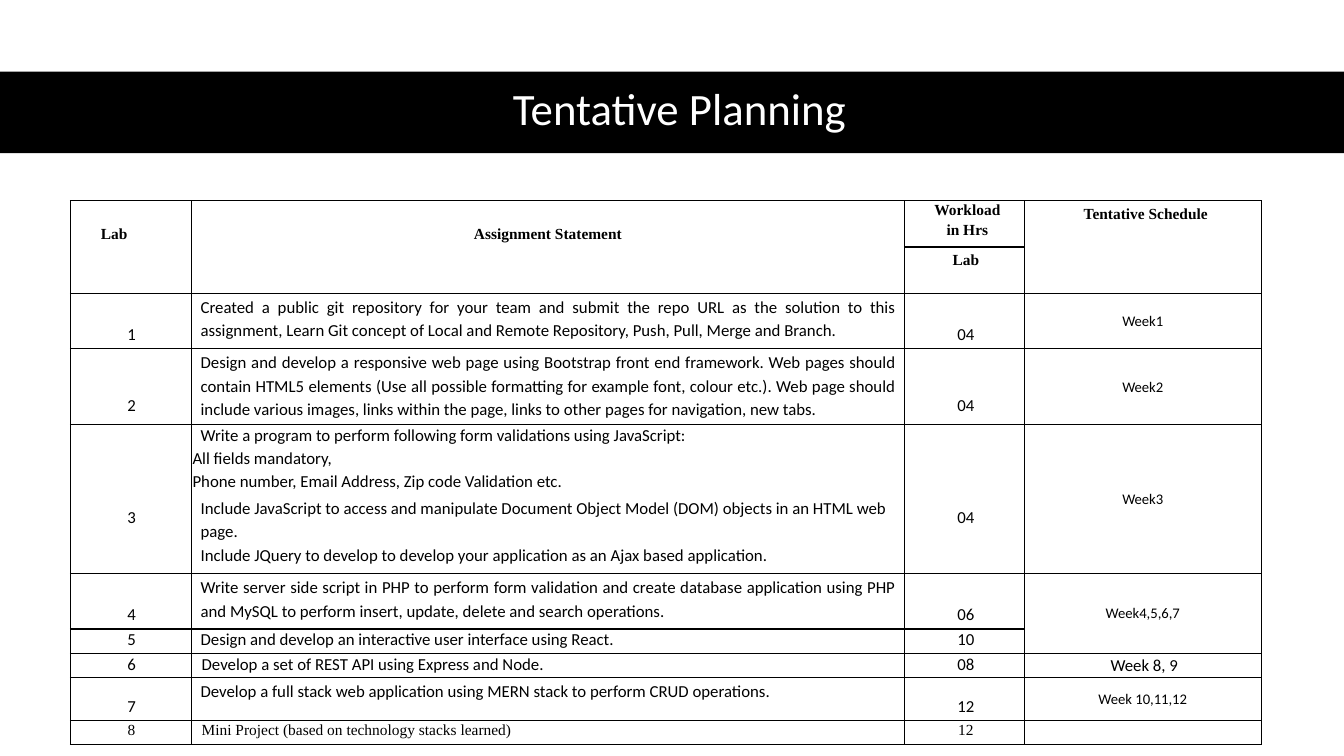
"""Build the tentative planning slide with its lab schedule table."""
from dataclasses import dataclass, field, replace

import pptx
import pptx.dml.color
import pptx.enum.shapes
import pptx.enum.text
import pptx.oxml
import pptx.oxml.ns
import pptx.slide
import pptx.table
import pptx.text.text
import pptx.util

Inches = pptx.util.Inches
Pt = pptx.util.Pt
Align = pptx.enum.text.PP_ALIGN
Anchor = pptx.enum.text.MSO_ANCHOR


@dataclass(frozen=True)
class Theme:
    """Colours, fonts and type sizes of the slide."""

    ink: str = "000000"
    paper: str = "FFFFFF"
    sans: str = "Calibri"
    serif: str = "Times New Roman"
    title: float = 32
    body: float = 12
    header: float = 11
    week: float = 10.5
    border: float = 1


THEME = Theme()


@dataclass(frozen=True)
class Line:
    """One paragraph of a table cell."""

    text: str
    align: Align = Align.LEFT
    indent: float = 0
    hanging: float = 0
    spacing: float = 1
    before: float = 0
    size: float = THEME.body
    font: str = THEME.sans
    bold: bool = False


@dataclass(frozen=True)
class Assignment:
    """One lab row: statement, hours, schedule and drop of its numbers."""

    hours: str
    height: float
    statement: tuple[Line, ...]
    week: Line | None = None
    drop: float = 0.01
    week_rows: int = 1
    number: Line = field(default_factory=lambda: Line("", Align.CENTER))


def statement(text: str, align: Align = Align.LEFT, spacing: float = 1.15, before: float = 0) -> Line:
    """Return a line of an assignment statement."""
    return Line(text, align, 0.08, spacing=spacing, before=before)


def field_rule(text: str) -> Line:
    """Return a hanging line naming a validation rule."""
    return Line(text, indent=0.38, hanging=0.38, before=2)


def week(text: str) -> Line:
    """Return a schedule line."""
    return Line(text, Align.CENTER, size=THEME.week)


def heading(text: str, align: Align = Align.CENTER, indent: float = 0, spacing: float = 1, before: float = 0) -> Line:
    """Return a bold column heading."""
    return Line(text, align, indent, 0, spacing, before, THEME.header, THEME.serif, True)


COLUMNS = (1.2, 7.07, 1.19, 2.35)
HEADER_HEIGHTS = (0.46, 0.46)
ASSIGNMENTS = (
    Assignment("04", 0.55, (statement(
        "Created a public git repository for your team and submit the repo URL as the solution to this "
        "assignment, Learn Git concept of Local and Remote Repository, Push, Pull, Merge and Branch.",
        Align.JUSTIFY),), week("Week1"), 0.31),
    Assignment("04", 0.75, (statement(
        "Design and develop a responsive web page using Bootstrap front end framework. Web pages should "
        "contain HTML5 elements (Use all possible formatting for example font, colour etc.). Web page should "
        "include various images, links within the page, links to other pages for navigation, new tabs.",
        Align.JUSTIFY),), week("Week2"), 0.46),
    Assignment("04", 1.48, (
        statement("Write a program to perform following form validations using JavaScript:", spacing=1),
        field_rule("All fields mandatory,"),
        field_rule("Phone number, Email Address, Zip code Validation etc."),
        statement("Include JavaScript to access and manipulate Document Object Model (DOM) objects "
                  "in an HTML web page.", before=2),
        statement("Include JQuery to develop to develop your application as an Ajax based application."),
    ), week("Week3"), 0.83),
    Assignment("06", 0.55, (statement(
        "Write server side script in PHP to perform form validation and create database application using PHP "
        "and MySQL to perform insert, update, delete and search operations.",
        Align.JUSTIFY),), week("Week4,5,6,7"), 0.31, 2),
    Assignment("10", 0.24, (statement(
        "Design and develop an interactive user interface using React.", spacing=1),)),
    Assignment("08", 0.24, (Line("Develop a set of REST API using Express and Node.", indent=0.09),),
               Line("Week 8, 9", Align.CENTER, 0.03)),
    Assignment("12", 0.43, (statement(
        "Develop a full stack web application using MERN stack to perform CRUD operations."),),
        week("Week 10,11,12"), 0.19),
    Assignment("12", 0.24, (Line("Mini Project (based on technology stacks learned)", indent=0.09,
                                 size=THEME.header, font=THEME.serif),),
               number=Line("", Align.CENTER, size=THEME.header, font=THEME.serif)),
)


def style_font(font: pptx.text.text.Font, name: str, size: float, colour: str, bold: bool = False) -> None:
    """Apply typeface, size, weight and colour."""
    font.name, font.size, font.bold = name, Pt(size), bold
    font.color.rgb = pptx.dml.color.RGBColor.from_string(colour)


def write_line(paragraph: pptx.text.text._Paragraph, line: Line) -> None:
    """Fill a paragraph from its description."""
    if line.text:
        paragraph.text = line.text
    paragraph.alignment = line.align
    paragraph.line_spacing = line.spacing
    paragraph.space_before = Pt(line.before)
    style_font(paragraph.font, line.font, line.size, THEME.ink, line.bold)
    properties = paragraph._p.get_or_add_pPr()
    properties.set("marL", str(Inches(line.indent)))
    properties.set("indent", str(-Inches(line.hanging)))


def fill_cell(cell: pptx.table._Cell, lines: tuple[Line, ...], top: float = 0.01, right: float = 0.01,
              anchor: Anchor = Anchor.TOP) -> None:
    """Write the lines of a cell and set its insets."""
    cell.margin_left, cell.margin_right = Inches(0.01), Inches(right)
    cell.margin_top, cell.margin_bottom = Inches(top), 0
    cell.vertical_anchor = anchor
    for index, line in enumerate(lines):
        paragraphs = cell.text_frame.paragraphs
        write_line(cell.text_frame.add_paragraph() if index else paragraphs[0], line)


def outline_cell(cell: pptx.table._Cell) -> None:
    """Clear the fill of a cell and rule its four sides."""
    cell.fill.background()
    for position, side in enumerate(("lnL", "lnR", "lnT", "lnB")):
        rule = pptx.oxml.parse_xml(
            f'<a:{side} {pptx.oxml.ns.nsdecls("a")} w="{Pt(THEME.border)}">'
            f'<a:solidFill><a:srgbClr val="{THEME.ink}"/></a:solidFill></a:{side}>')
        cell._tc.get_or_add_tcPr().insert(position, rule)


def add_title(slide: pptx.slide.Slide) -> None:
    """Place the title on its black band."""
    title = slide.shapes.title
    band = slide.shapes.add_shape(pptx.enum.shapes.MSO_SHAPE.RECTANGLE,
                                  0, Inches(0.71), Inches(13.33), Inches(0.81))
    band.shadow.inherit = False
    band.fill.solid()
    band.fill.fore_color.rgb = pptx.dml.color.RGBColor.from_string(THEME.ink)
    band.line.fill.background()
    title.element.addprevious(band.element)
    title.left, title.top, title.width, title.height = map(Inches, (0.61, 0.7, 12.26, 0.81))
    title.text_frame.vertical_anchor = Anchor.MIDDLE
    heading_line = title.text_frame.paragraphs[0]
    heading_line.text = "Tentative Planning"
    heading_line.alignment = Align.CENTER
    heading_line.line_spacing = 0.9
    style_font(heading_line.font, THEME.sans, THEME.title, THEME.paper)


def add_plan(slide: pptx.slide.Slide) -> None:
    """Add the table of labs, workload and schedule."""
    heights = HEADER_HEIGHTS + tuple(assignment.height for assignment in ASSIGNMENTS)
    plan = slide.shapes.add_table(len(heights), len(COLUMNS), Inches(0.7), Inches(1.99),
                                  Inches(sum(COLUMNS)), Inches(sum(heights))).table
    plan.first_row = plan.horz_banding = False
    for column, width in zip(plan.columns, COLUMNS):
        column.width = Inches(width)
    for row, height in zip(plan.rows, heights):
        row.height = Inches(height)
    for cell in plan.iter_cells():
        outline_cell(cell)
        fill_cell(cell, (Line("", size=THEME.week),))

    for column in (0, 1, 3):
        plan.cell(0, column).merge(plan.cell(1, column))
    fill_cell(plan.cell(0, 0), (heading("Lab", Align.LEFT, 0.29),), 0.25)
    fill_cell(plan.cell(0, 1), (heading("Assignment Statement"),), 0.25)
    fill_cell(plan.cell(0, 2), (heading("Workload", indent=0.06), heading("in Hrs", indent=0.06, before=2)))
    fill_cell(plan.cell(0, 3), (heading("Tentative Schedule", indent=0.06),), 0.05)
    fill_cell(plan.cell(1, 2), (heading("Lab", indent=0.03, spacing=1.23),))

    for lab, assignment in enumerate(ASSIGNMENTS, 1):
        row = lab + 1
        number, drop = assignment.number, assignment.drop
        fill_cell(plan.cell(row, 0), (replace(number, text=str(lab), indent=0.01),), drop)
        fill_cell(plan.cell(row, 1), assignment.statement, right=0.08)
        fill_cell(plan.cell(row, 2), (replace(number, text=assignment.hours, indent=0.03),), drop)
        if assignment.week:
            schedule = plan.cell(row, 3)
            if assignment.week_rows > 1:
                schedule.merge(plan.cell(row + assignment.week_rows - 1, 3))
            fill_cell(schedule, (assignment.week,), anchor=Anchor.MIDDLE)


def main() -> None:
    """Create and save the presentation."""
    deck = pptx.Presentation()
    deck.slide_width, deck.slide_height = Inches(13.33), Inches(7.5)
    slide = deck.slides.add_slide(deck.slide_layouts[5])
    add_title(slide)
    add_plan(slide)
    deck.save("out.pptx")


if __name__ == "__main__":
    main()
